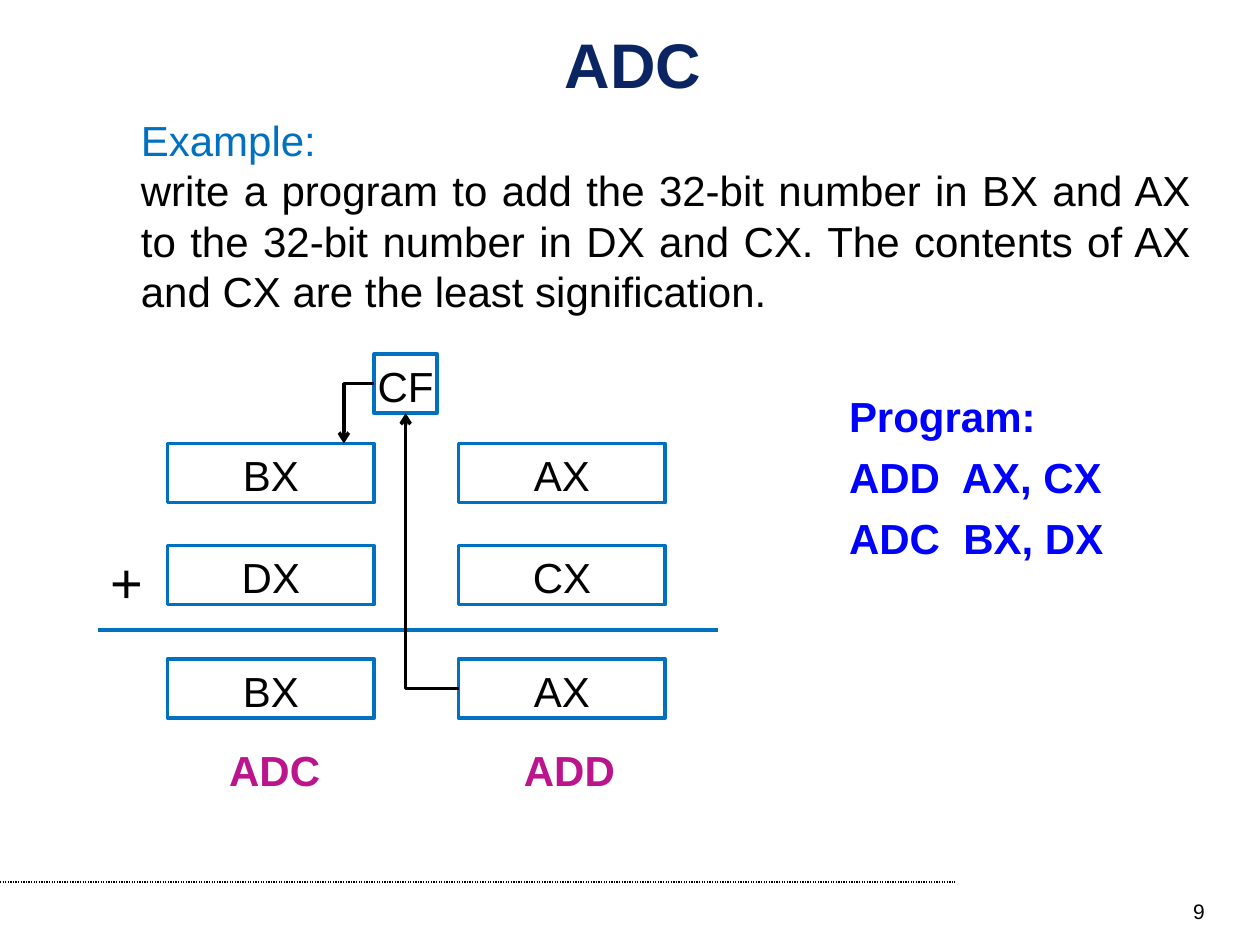
from lxml.etree import SubElement
from pptx import Presentation
from pptx.dml.color import RGBColor
from pptx.enum.dml import MSO_LINE
from pptx.enum.shapes import MSO_CONNECTOR as CONN, MSO_SHAPE
from pptx.enum.text import MSO_ANCHOR as ANCHOR, PP_ALIGN as ALIGN
from pptx.oxml.ns import qn
from pptx.util import Inches, Pt

BLACK = RGBColor(0, 0, 0)
WHITE = RGBColor(0xFF, 0xFF, 0xFF)
NAVY = RGBColor(0x0A, 0x25, 0x62)
BLUE = RGBColor(0x00, 0x70, 0xC0)
CODE_BLUE = RGBColor(0x00, 0x00, 0xFF)
MAGENTA = RGBColor(0xBC, 0x14, 0x8C)

# Content
TITLE = "ADC"
EXAMPLE = [
    ("Example: ", BLUE),
    ("write a program to add the 32-bit number in BX and AX to the 32-bit "
     "number in DX and CX. The contents of AX and CX are the least "
     "signification.", BLACK),
]
PROGRAM = ["Program:", "ADD  AX, CX", "ADC  BX, DX"]
REGISTERS = [("BX", "AX"), ("DX", "CX"), ("BX", "AX")]
OPERATIONS = [("ADC", 1.72), ("ADD", 4.06)]
PAGE = "9"

# Diagram geometry, in inches
COLUMNS = (1.33, 3.64)
ROWS = (3.52, 4.33, 5.23)
REG_W, BOX_H = 1.64, 0.47
CF_X, CF_Y, CF_W = 2.97, 2.81, 0.5


def write(shape, lines, size=24, color=BLACK, bold=False, align=ALIGN.LEFT,
          anchor=ANCHOR.TOP, wrap=True, gap=0):
    """Fill a shape with lines, each a string or a (string, colour) pair."""
    tf = shape.text_frame
    tf.word_wrap = wrap
    tf.vertical_anchor = anchor
    for i, line in enumerate(lines):
        text, line_color = (line, color) if isinstance(line, str) else line
        p = tf.paragraphs[0] if i == 0 else tf.add_paragraph()
        p.alignment = align
        p.space_before = Pt(gap if i else 0)
        r = p.add_run()
        r.text = text
        r.font.name = "Arial"
        r.font.size = Pt(size)
        r.font.bold = bold
        r.font.color.rgb = line_color


def add_text(s, box, lines, **fmt):
    write(s.shapes.add_textbox(*map(Inches, box)), lines, **fmt)


def add_box(s, x, y, w, text):
    sp = s.shapes.add_shape(MSO_SHAPE.RECTANGLE, *map(Inches, (x, y, w, BOX_H)))
    sp.shadow.inherit = False
    sp.fill.solid()
    sp.fill.fore_color.rgb = WHITE
    sp.line.color.rgb = BLUE
    sp.line.width = Pt(2)
    write(sp, [text], align=ALIGN.CENTER, wrap=False)


def add_line(s, start, end, color=BLACK, width=2, kind=CONN.STRAIGHT):
    c = s.shapes.add_connector(kind, *map(Inches, start + end))
    c.line.color.rgb = color
    c.line.width = Pt(width)
    SubElement(c._element.spPr, qn("a:effectLst"))
    return c


def add_bent_arrow(s, start, end):
    """Run sideways from start, then turn once and point at end."""
    c = add_line(s, start, end, kind=CONN.ELBOW)
    c._element.spPr.find(qn("a:prstGeom")).set("prst", "bentConnector2")
    SubElement(c.line._get_or_add_ln(), qn("a:tailEnd"), type="arrow")


def main():
    prs = Presentation()
    prs.slide_width, prs.slide_height = Inches(10), Inches(7.5)
    s = prs.slides.add_slide(prs.slide_layouts[5])

    # Title, footer rule and page number
    title = s.shapes.title
    title.left, title.top, title.width, title.height = map(
        Inches, (0.5, 0.25, 9.05, 0.5))
    write(title, [TITLE], size=36, color=NAVY, bold=True,
          align=ALIGN.CENTER, anchor=ANCHOR.MIDDLE)
    rule = add_line(s, (0, 7), (7.58, 7), width=0.75)
    rule.line.dash_style = MSO_LINE.ROUND_DOT
    add_text(s, (7.33, 7.08, 2.33, 0.27), [PAGE], size=12, align=ALIGN.RIGHT)

    # Task and program
    add_text(s, (1.02, 0.86, 8.53, 1.7), EXAMPLE, align=ALIGN.JUSTIFY)
    add_text(s, (6.64, 3.05, 2.34, 1.47), PROGRAM, color=CODE_BLUE,
             bold=True, gap=6)

    # Registers, carry flag and sum line
    for y, names in zip(ROWS, REGISTERS):
        for x, name in zip(COLUMNS, names):
            add_box(s, x, y, REG_W, name)
    add_box(s, CF_X, CF_Y, CF_W, "CF")
    add_text(s, (0.78, 4.3, 0.62, 0.64), ["+"], size=32)
    add_line(s, (0.78, 5), (5.7, 5), color=BLUE)

    # Carry out of the low word, then into the high word
    add_bent_arrow(s, (COLUMNS[1], ROWS[2] + BOX_H / 2),
                   (CF_X + CF_W / 2, CF_Y + BOX_H))
    add_bent_arrow(s, (CF_X, CF_Y + BOX_H / 2), (2.73, ROWS[0]))

    # Operation under each column
    for name, x in OPERATIONS:
        add_text(s, (x, 5.86, 1.13, 0.5), [name], color=MAGENTA, bold=True)

    prs.save("out.pptx")


if __name__ == "__main__":
    main()
